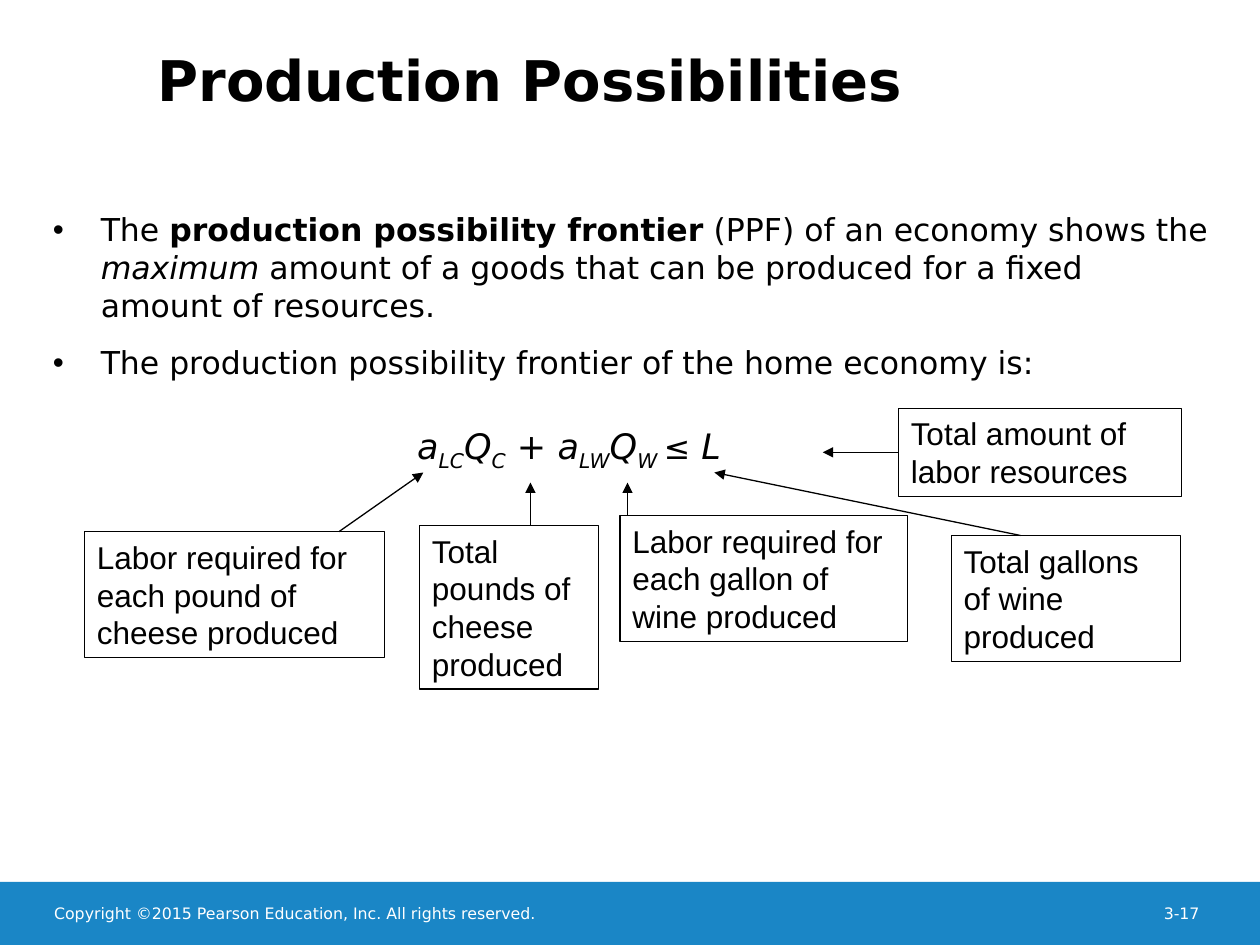
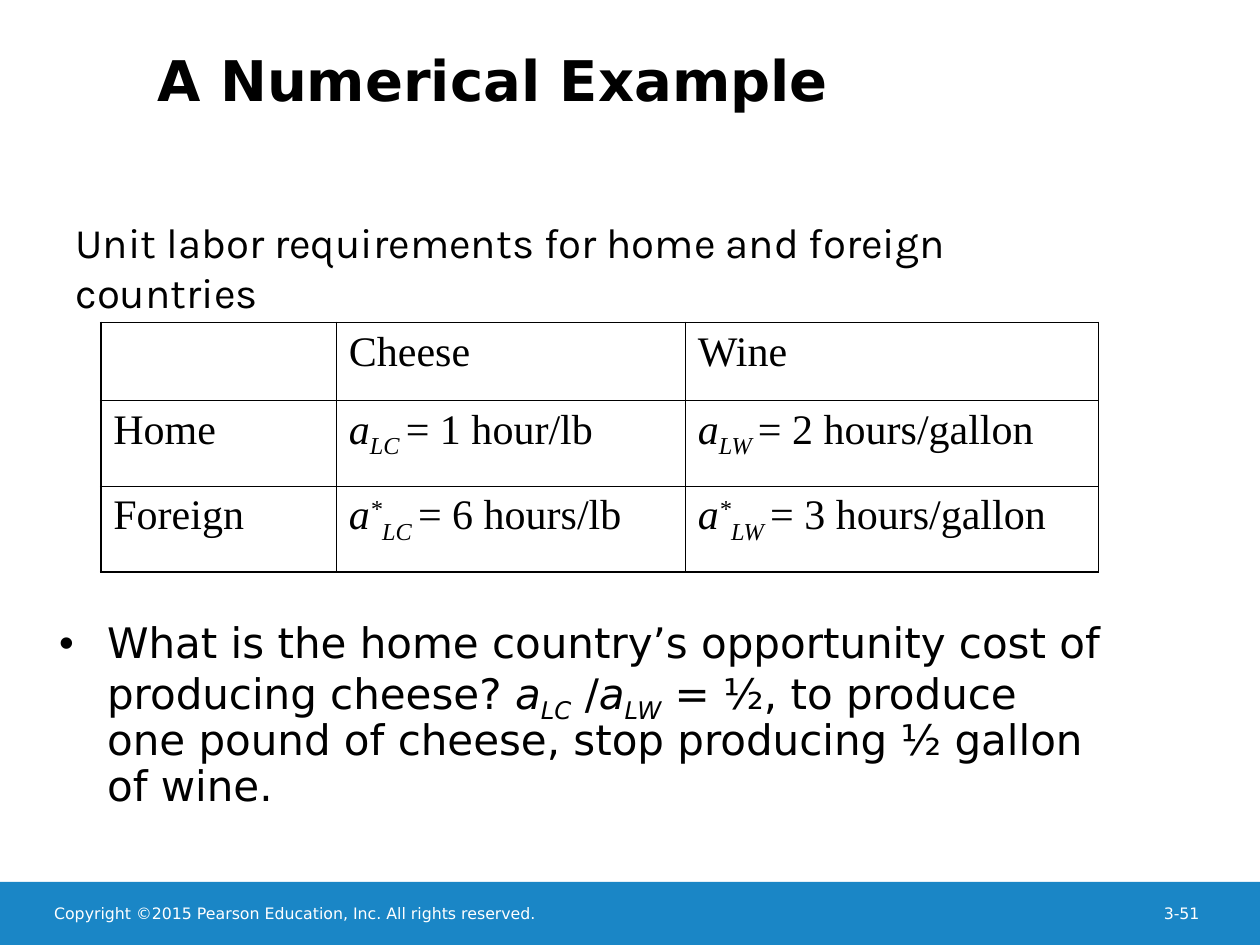
from lxml import etree
from pptx import Presentation
from pptx.dml.color import RGBColor
from pptx.enum.shapes import MSO_CONNECTOR, MSO_SHAPE
from pptx.enum.text import MSO_ANCHOR, PP_ALIGN
from pptx.oxml.ns import qn
from pptx.util import Inches, Pt

BLACK = RGBColor(0x00, 0x00, 0x00)
WHITE = RGBColor(0xFF, 0xFF, 0xFF)
BLUE = RGBColor(0x1A, 0x86, 0xC6)
BODY_FONT, LABEL_FONT = "DejaVu Sans", "Arial"
TABLE_FONT, CAPTION_FONT = "Times New Roman", "Karla"
RECTANGLE, STRAIGHT = MSO_SHAPE.RECTANGLE, MSO_CONNECTOR.STRAIGHT
TOP, MIDDLE = MSO_ANCHOR.TOP, MSO_ANCHOR.MIDDLE
LEFT, RIGHT = PP_ALIGN.LEFT, PP_ALIGN.RIGHT
LEFT_SIDE = 1
HANGING = 0.38
PADDING = (0.1, 0.05)
OUTER_BORDER, INNER_BORDER = 1.08, 0.45
BASELINES = {"sub": "-25000", "super": "30000"}


# Shared text helpers
def add_runs(paragraph, runs, size, font=BODY_FONT, color=BLACK):
    """Each run is a string or a (text, styles) pair, styles split by spaces."""
    for item in runs:
        text, styles = (item, "") if isinstance(item, str) else item
        run = paragraph.add_run()
        run.text = text
        run.font.size, run.font.name = Pt(size), font
        run.font.color.rgb = color
        run.font.bold = "bold" in styles
        run.font.italic = "italic" in styles
        for style in styles.split():
            if style in BASELINES:
                run._r.get_or_add_rPr().set("baseline", BASELINES[style])


def symbol(subscript, name="a", star=False):
    stars = [("*", "italic super")] if star else []
    return [(name, "italic"), *stars, (subscript, "italic sub")]


def add_text_box(slide, box, padding=(0, 0), anchor=TOP):
    shape = slide.shapes.add_textbox(*map(Inches, box))
    frame = shape.text_frame
    frame.word_wrap = True
    frame.vertical_anchor = anchor
    frame.margin_left = frame.margin_right = Inches(padding[0])
    frame.margin_top = frame.margin_bottom = Inches(padding[1])
    return shape


def add_line_of_text(slide, box, runs, size, font=BODY_FONT, color=BLACK,
                     align=LEFT, padding=(0, 0), anchor=TOP):
    shape = add_text_box(slide, box, padding, anchor)
    paragraph = shape.text_frame.paragraphs[0]
    paragraph.alignment = align
    add_runs(paragraph, runs, size, font, color)
    return shape


def set_indent(paragraph, margin, first_line=0):
    properties = paragraph._p.get_or_add_pPr()
    properties.set("marL", str(Inches(margin)))
    properties.set("indent", str(Inches(first_line)))
    return properties


def add_bullet(paragraph):
    properties = set_indent(paragraph, HANGING, -HANGING)
    etree.SubElement(properties, qn("a:buFont")).set("typeface", LABEL_FONT)
    etree.SubElement(properties, qn("a:buChar")).set("char", "•")


# Title and footer band on every slide
def add_frame(presentation, title, number):
    slide = presentation.slides.add_slide(presentation.slide_layouts[6])
    band = slide.shapes.add_shape(RECTANGLE, 0, Inches(7), Inches(10), Inches(0.5))
    band.shadow.inherit = False
    band.fill.solid()
    band.fill.fore_color.rgb = BLUE
    band.line.fill.background()
    add_line_of_text(slide, (0.43, 7.17, 5.9, 0.2),
                     ["Copyright ©2015 Pearson Education, Inc. All rights reserved."],
                     9, color=WHITE)
    add_line_of_text(slide, (9.02, 7.17, 0.5, 0.2), [number], 9,
                     color=WHITE, align=RIGHT)
    add_line_of_text(slide, (1.25, 0, 8.42, 1.25), [(title, "bold")], 32,
                     anchor=MIDDLE)
    return slide


# Definition of the frontier and its formula
def add_frontier_text(slide, box):
    frame = add_text_box(slide, box).text_frame
    definition = frame.paragraphs[0]
    add_bullet(definition)
    add_runs(definition, ["The ", ("production possibility frontier", "bold"),
                          " (PPF) of an economy shows the ", ("maximum", "italic"),
                          " amount of a goods that can be produced for a fixed"
                          " amount of resources."], 18)
    lead_in = frame.add_paragraph()
    lead_in.space_before = Pt(11.2)
    add_bullet(lead_in)
    add_runs(lead_in, ["The production possibility frontier of the home economy is:"], 18)

    formula = frame.add_paragraph()
    formula.space_before = Pt(25)
    set_indent(formula, 2.89)
    add_runs(formula, [*symbol("LC"), *symbol("C", "Q"), " + ",
                       *symbol("LW"), *symbol("W ", "Q")], 20)
    add_runs(formula, [("≤", "italic")], 18)
    add_runs(formula, [(" L", "italic")], 20)


# Framed label with an arrow to its term in the formula
def add_label(slide, box, text, target, start_x=None):
    label = add_line_of_text(slide, box, [text], 18, LABEL_FONT, padding=PADDING)
    label.line.color.rgb = BLACK
    label.line.width = Pt(0.75)
    left, top, _, height = box
    start = (left, top + height / 2) if start_x is None else (start_x, top)
    arrow = slide.shapes.add_connector(STRAIGHT, *map(Inches, (*start, *target)))
    if start_x is None:
        arrow.begin_connect(label, LEFT_SIDE)
    arrow.line.color.rgb = BLACK
    arrow.line.width = Pt(0.75)
    etree.SubElement(arrow.line._get_or_add_ln(), qn("a:tailEnd")).set("type", "triangle")
    etree.SubElement(arrow._element.spPr, qn("a:effectLst"))


def build_possibilities_slide(presentation):
    slide = add_frame(presentation, "Production Possibilities", "3-17")
    add_frontier_text(slide, (0.42, 1.67, 9.17, 4.75))
    labels = [
        ((7.55, 4.25, 1.82, 1), "Total gallons of wine produced", (5.67, 3.75), 8.1),
        ((0.67, 4.22, 2.38, 1), "Labor required for each pound of cheese produced",
         (3.36, 3.75), 2.69),
        ((3.33, 4.17, 1.42, 1.3), "Total pounds of cheese produced", (4.21, 3.83), 4.21),
        ((4.92, 4.09, 2.28, 1), "Labor required for each gallon of wine produced",
         (4.98, 3.83), 4.98),
        ((7.13, 3.24, 2.25, 0.7), "Total amount of labor resources", (6.53, 3.59)),
    ]
    for label in labels:
        add_label(slide, *label)


# Table of unit labor requirements
def set_borders(cell, widths):
    properties = cell._tc.get_or_add_tcPr()
    for side, width in widths.items():
        line = etree.SubElement(properties, qn(f"a:ln{side}"), w=str(Pt(width)))
        fill = etree.SubElement(line, qn("a:solidFill"))
        etree.SubElement(fill, qn("a:srgbClr")).set("val", str(BLACK))


def add_labor_table(slide, box):
    rows = [
        [[], ["Cheese"], ["Wine"]],
        [["Home"], [*symbol("LC "), "= 1 hour/lb"], [*symbol("LW "), "= 2 hours/gallon"]],
        [["Foreign"], [*symbol("LC ", star=True), "= 6 hours/lb"],
         [*symbol("LW ", star=True), "= 3 hours/gallon"]],
    ]
    widths, heights = (1.87, 2.77, 3.28), (0.62, 0.68, 0.68)
    table = slide.shapes.add_table(len(rows), len(widths), *map(Inches, box)).table
    table.first_row = table.horz_banding = False
    for column, width in zip(table.columns, widths):
        column.width = Inches(width)
    for row, height in zip(table.rows, heights):
        row.height = Inches(height)
    last_row, last_column = len(rows) - 1, len(widths) - 1
    for i, row in enumerate(rows):
        for j, runs in enumerate(row):
            cell = table.cell(i, j)
            add_runs(cell.text_frame.paragraphs[0], runs, 24, TABLE_FONT)
            at_edge = {"L": j == 0, "R": j == last_column,
                       "T": i == 0, "B": i == last_row}
            set_borders(cell, {side: OUTER_BORDER if outer else INNER_BORDER
                               for side, outer in at_edge.items()})
            cell.fill.background()


# Question on opportunity cost
def add_question(slide, box):
    paragraph = add_text_box(slide, box).text_frame.paragraphs[0]
    paragraph.line_spacing = 0.9
    add_bullet(paragraph)
    add_runs(paragraph, [
        "What is the home country’s opportunity cost of producing cheese? ",
        *symbol("LC"), " /", *symbol("LW"),
        " = ½, to produce one pound of cheese, stop producing ½ gallon of wine."], 24)


def build_example_slide(presentation):
    slide = add_frame(presentation, "A Numerical Example", "3-51")
    add_question(slide, (0.47, 4.94, 8.31, 1.58))
    add_labor_table(slide, (0.8, 2.56, 7.92, 1.98))
    add_line_of_text(slide, (0.5, 1.67, 8.51, 0.9),
                     ["Unit labor requirements for home and foreign countries"],
                     24, CAPTION_FONT, padding=PADDING)


def main():
    presentation = Presentation()
    presentation.slide_width, presentation.slide_height = Inches(10), Inches(7.5)
    build_possibilities_slide(presentation)
    build_example_slide(presentation)
    presentation.save("out.pptx")


if __name__ == "__main__":
    main()
